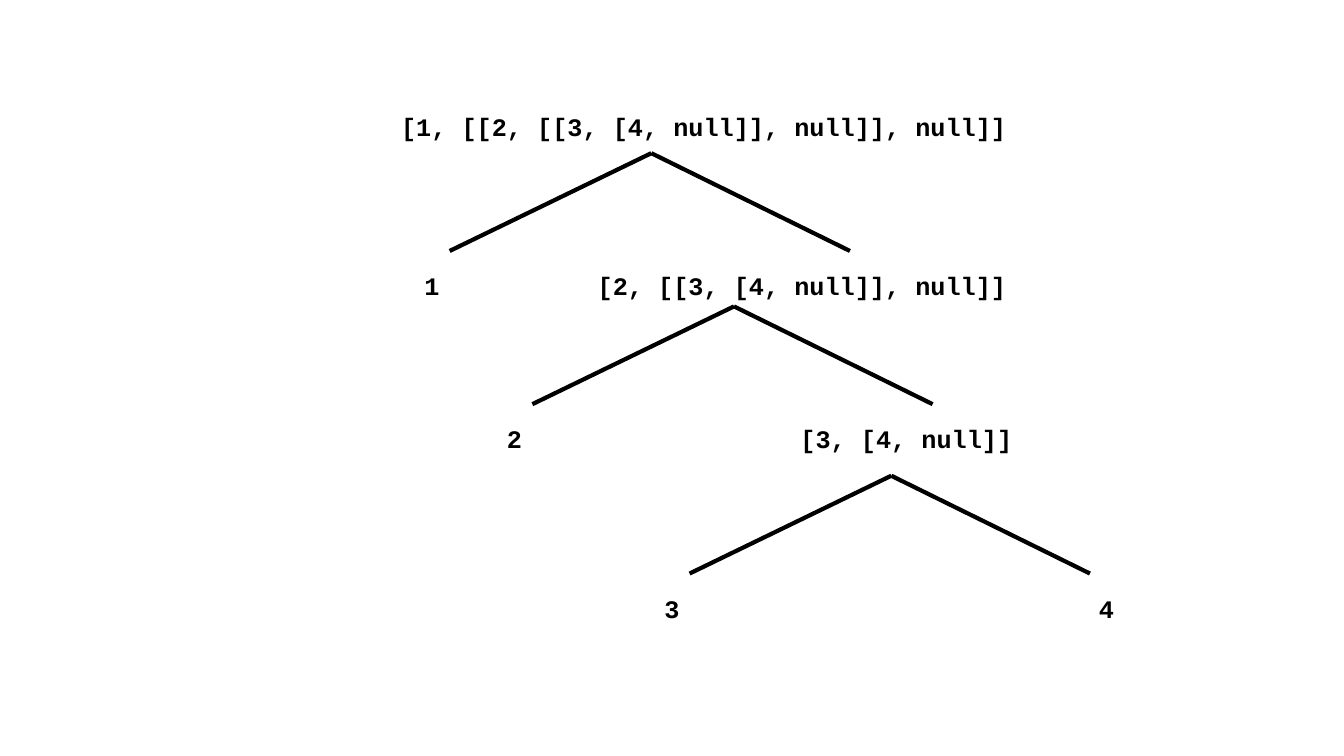
"""Draw a nested list as a binary tree of heads and tails."""
from pptx import Presentation
from pptx.dml.color import RGBColor
from pptx.enum.shapes import MSO_CONNECTOR
from pptx.enum.text import MSO_AUTO_SIZE
from pptx.oxml.ns import qn
from pptx.util import Inches, Pt
from lxml import etree

STRAIGHT = MSO_CONNECTOR.STRAIGHT
FIT_SHAPE = MSO_AUTO_SIZE.SHAPE_TO_FIT_TEXT
BLACK = RGBColor(0, 0, 0)
FONT = "Courier New"
LABEL_HEIGHT = 0.4
BRANCH_DROP = 0.97
BRANCH_REACHES = (-2.0, 1.97)

presentation = Presentation()
presentation.slide_width = Inches(13.33)
presentation.slide_height = Inches(7.5)
slide = presentation.slides.add_slide(presentation.slide_layouts[6])

labels = [
    ("[1, [[2, [[3, [4, null]], null]], null]]", 3.88, 1.06, 6.23),
    ("[2, [[3, [4, null]], null]]", 5.83, 2.63, 4.42),
    ("[3, [4, null]]", 7.84, 4.15, 2.31),
    ("1", 4.11, 2.63, 0.35),
    ("2", 4.93, 4.15, 0.35),
    ("3", 6.49, 5.84, 0.35),
    ("4", 10.8, 5.84, 0.35),
]
branch_tops = [(6.46, 1.52), (7.28, 3.04), (8.84, 4.72)]

for text, left, top, width in labels:
    label = slide.shapes.add_textbox(
        Inches(left), Inches(top), Inches(width), Inches(LABEL_HEIGHT)
    )
    frame = label.text_frame
    frame.word_wrap = False
    frame.auto_size = FIT_SHAPE
    run = frame.paragraphs[0].add_run()
    run.text = text
    run.font.name = FONT
    run.font.size = Pt(18)
    run.font.bold = True
    run.font.color.rgb = BLACK

for x, y in branch_tops:
    for reach in BRANCH_REACHES:
        branch = slide.shapes.add_connector(
            STRAIGHT, Inches(x), Inches(y), Inches(x + reach), Inches(y + BRANCH_DROP)
        )
        branch.line.color.rgb = BLACK
        branch.line.width = Pt(3)
        etree.SubElement(branch._element.spPr, qn("a:effectLst"))

presentation.save("out.pptx")
